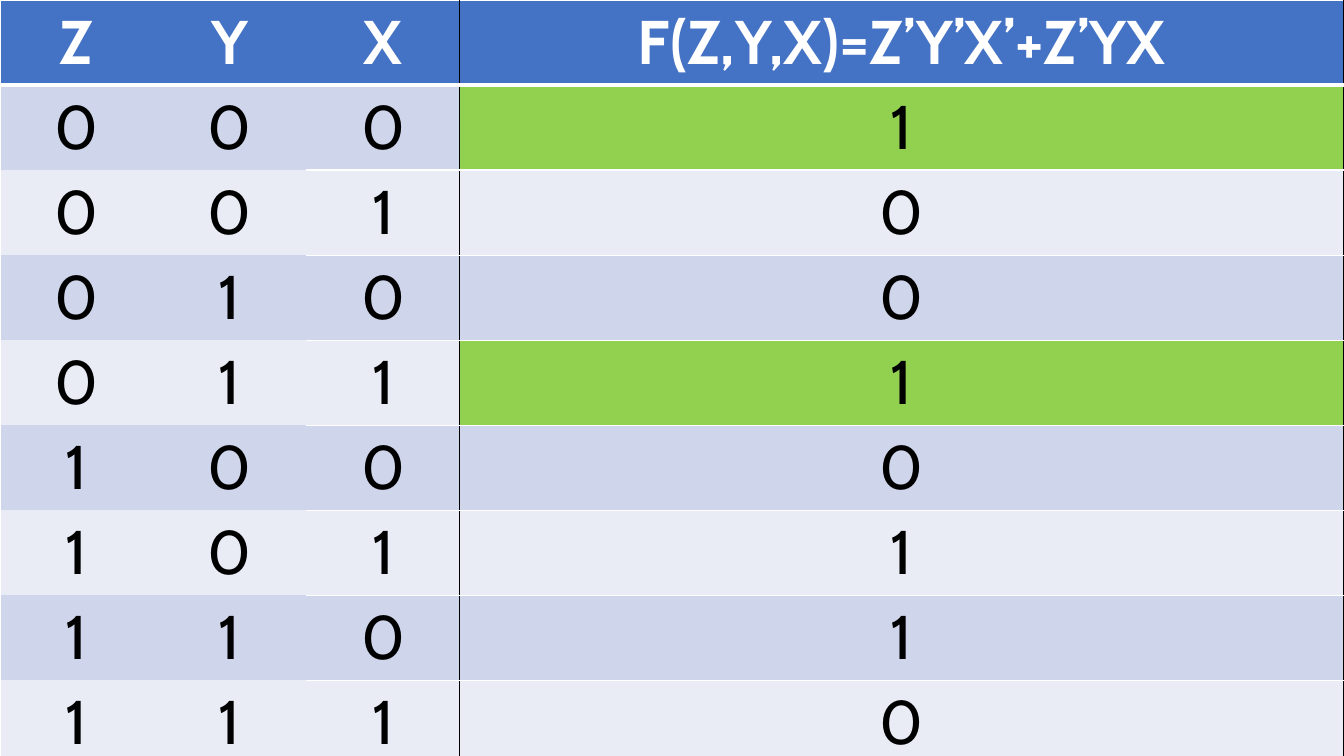
from dataclasses import dataclass
from itertools import product

from lxml import etree
from pptx import Presentation
from pptx import util as u
from pptx.dml.color import RGBColor
from pptx.enum import text
from pptx.oxml import ns


@dataclass(frozen=True)
class Theme:
    font: str = "Cabin"
    size: int = 44
    head: str = "4472C4"
    odd: str = "CFD5EA"
    even: str = "E9EBF5"
    mark: str = "92D050"
    white: str = "FFFFFF"
    black: str = "000000"


@dataclass(frozen=True)
class Line:
    color: str
    width: float = 1


@dataclass(frozen=True)
class Entry:
    label: str
    fill: str
    ink: str
    bold: bool
    edges: dict[str, Line | None]


THEME = Theme()
WIDE, HIGH = 13.33, 7.5
BIT = 1.52
NAMES = ("Z", "Y", "X", "F(Z,Y,X)=Z’Y’X’+Z’YX")
OUTPUT = "10010110"
MARKED = (1, 4)
ROWS = [NAMES] + [(*bits, out) for bits, out in zip(product("01", repeat=3), OUTPUT)]
LAST = len(ROWS) - 1


def edges(row: int, col: int) -> dict[str, Line | None]:
    white, black = Line(THEME.white), Line(THEME.black)
    ruled = col >= 2
    left = {0: white, 3: black}.get(col)
    right = black if ruled else None
    top = white if ruled or row < 2 else None
    base = white if ruled or row == LAST else None
    if row == 0:
        base = Line(THEME.white, 3)
    return {"L": left, "R": right, "T": top, "B": base}


def entry(row: int, col: int) -> Entry:
    head = row == 0
    fill = THEME.head if head else THEME.odd if row % 2 else THEME.even
    if col == 3 and row in MARKED:
        fill = THEME.mark
    ink = THEME.white if head else THEME.black
    return Entry(ROWS[row][col], fill, ink, head, edges(row, col))


def border(cell, side: str, line: Line | None) -> None:
    props = cell._tc.get_or_add_tcPr()
    edge = etree.SubElement(props, ns.qn(f"a:ln{side}"))
    if line is None:
        edge.set("w", "0")
        etree.SubElement(edge, ns.qn("a:noFill"))
        return
    edge.set("w", str(u.Pt(line.width)))
    solid = etree.SubElement(edge, ns.qn("a:solidFill"))
    etree.SubElement(solid, ns.qn("a:srgbClr"), val=line.color)


def draw(cell, item: Entry) -> None:
    for side, line in item.edges.items():
        border(cell, side, line)
    cell.fill.solid()
    cell.fill.fore_color.rgb = RGBColor.from_string(item.fill)
    cell.vertical_anchor = text.MSO_ANCHOR.MIDDLE
    cell.text = item.label
    para = cell.text_frame.paragraphs[0]
    para.alignment = text.PP_ALIGN.CENTER
    font = para.font
    font.name, font.size, font.bold = THEME.font, u.Pt(THEME.size), item.bold
    font.color.rgb = RGBColor.from_string(item.ink)


def main() -> None:
    deck = Presentation()
    deck.slide_width, deck.slide_height = u.Inches(WIDE), u.Inches(HIGH)
    slide = deck.slides.add_slide(deck.slide_layouts[6])
    frame = slide.shapes.add_table(
        len(ROWS), len(NAMES), 0, 0, u.Inches(WIDE), u.Inches(HIGH)
    )
    table = frame.table
    for col, width in enumerate((BIT, BIT, BIT, WIDE - 3 * BIT)):
        table.columns[col].width = u.Inches(width)
    for row, col in product(range(len(ROWS)), range(len(NAMES))):
        draw(table.cell(row, col), entry(row, col))
    deck.save("out.pptx")


if __name__ == "__main__":
    main()
